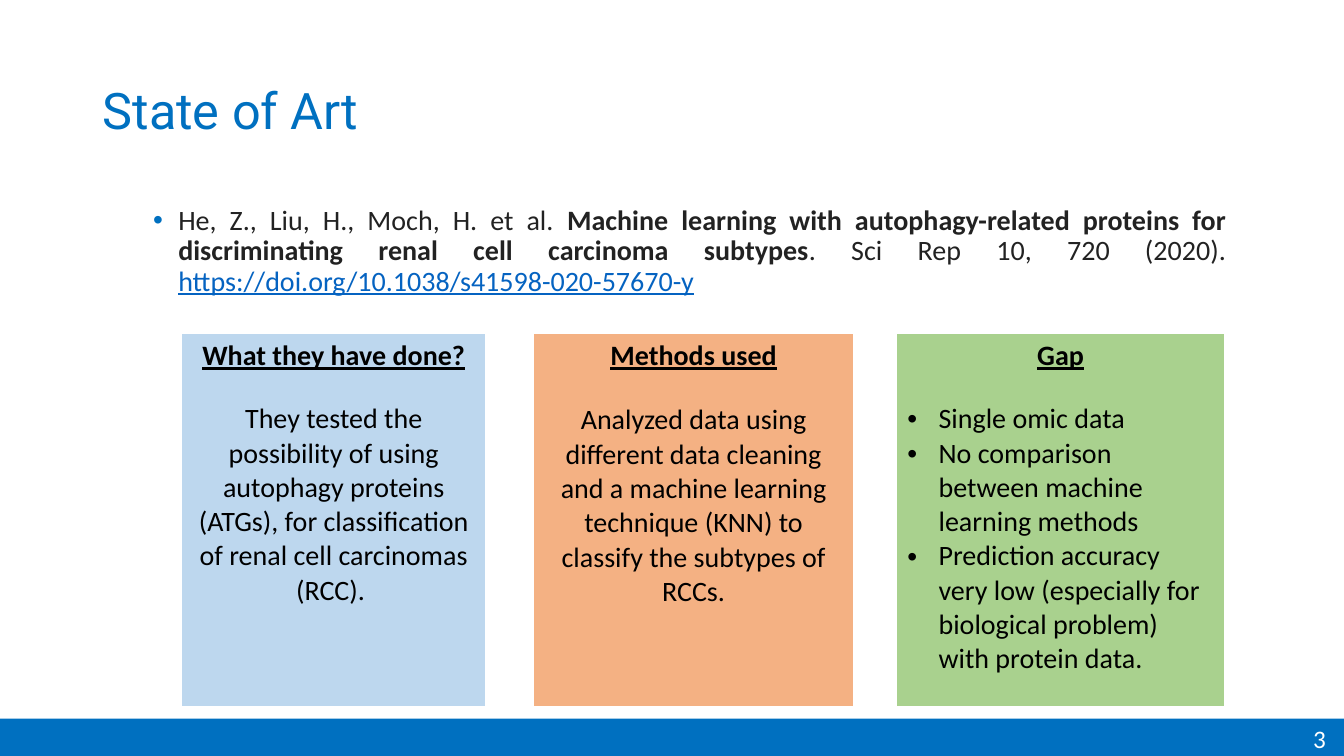
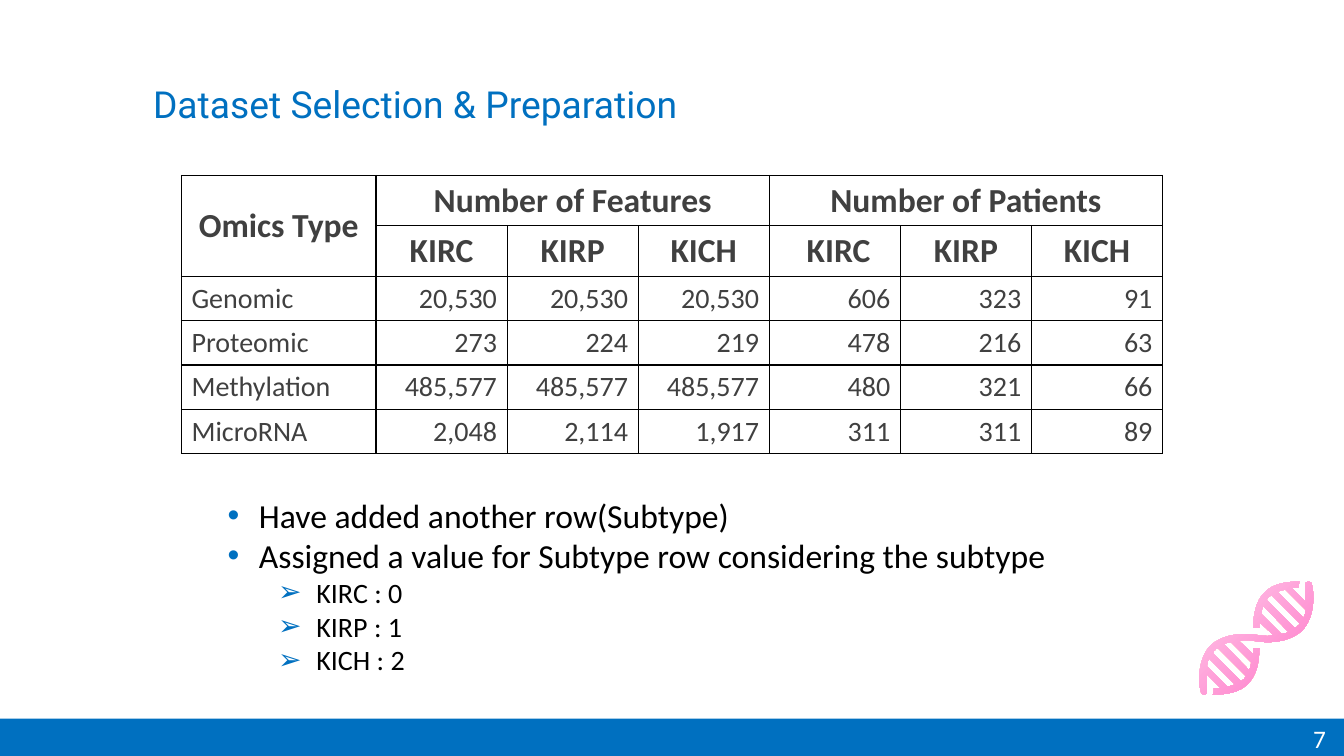
from copy import deepcopy

from lxml.etree import SubElement
from pptx import Presentation
from pptx.dml.color import RGBColor
from pptx.enum.shapes import MSO_SHAPE as Preset
from pptx.enum.text import MSO_ANCHOR as Anchor, PP_ALIGN as Align
from pptx.oxml import parse_xml
from pptx.oxml.ns import nsdecls, qn
from pptx.util import Inches, Pt

BLUE = RGBColor(0x00, 0x70, 0xC0)
LINK = RGBColor(0x05, 0x63, 0xC1)
WHITE = RGBColor(0xFF, 0xFF, 0xFF)
BLACK = RGBColor(0x00, 0x00, 0x00)
INK = RGBColor(0x22, 0x22, 0x22)
GREY = RGBColor(0x40, 0x40, 0x40)
PALE_BLUE = RGBColor(0xBD, 0xD7, 0xEE)
ORANGE = RGBColor(0xF4, 0xB1, 0x83)
GREEN = RGBColor(0xA9, 0xD1, 0x8E)
LIGHT_PINK = RGBColor(0xFF, 0xB9, 0xE3)
PINK = RGBColor(0xFF, 0x73, 0xC6)
NO_STYLE = "{2D5ABB26-0587-4C30-8999-92F81FD0307C}"


def write(paragraph, text, size, color, font="Calibri", bold=False, align=Align.LEFT):
    paragraph.text = text
    paragraph.alignment = align
    paragraph.font.name = font
    paragraph.font.size = Pt(size)
    paragraph.font.bold = bold
    paragraph.font.color.rgb = color


def add_bullet(paragraph, character, margin, hanging, color):
    properties = paragraph._p.get_or_add_pPr()
    properties.set("marL", str(Inches(margin)))
    properties.set("indent", str(-Inches(hanging)))
    bullet_color = SubElement(properties, qn("a:buClr"))
    SubElement(bullet_color, qn("a:srgbClr"), val=str(color))
    SubElement(properties, qn("a:buFont"), typeface="Arial")
    SubElement(properties, qn("a:buChar"), char=character)


presentation = Presentation()
presentation.slide_width = Inches(13.33)
presentation.slide_height = Inches(7.5)

slides = []
for title, size, left, top, height, anchor, number in [
    ("State of Art", 36, 0.92, 0.4, 1.45, Anchor.MIDDLE, "3"),
    ("Dataset Selection & Preparation", 26.6, 1.42, 0.81, 0.6, Anchor.TOP, "7"),
]:
    slide = presentation.slides.add_slide(presentation.slide_layouts[6])
    slides.append(slide)
    band = slide.shapes.add_shape(
        Preset.RECTANGLE, 0, Inches(7.13), presentation.slide_width, Inches(0.37))
    band.shadow.inherit = False
    band.fill.solid()
    band.fill.fore_color.rgb = BLUE
    band.line.fill.background()

    title_frame = slide.shapes.add_textbox(
        Inches(left), Inches(top), Inches(11), Inches(height)).text_frame
    title_frame.word_wrap = True
    title_frame.vertical_anchor = anchor
    write(title_frame.paragraphs[0], title, size, BLUE, font="Roboto")
    title_frame.paragraphs[0].line_spacing = 0.9

    number_frame = slide.shapes.add_textbox(
        Inches(12.75), Inches(7.13), Inches(0.5), Inches(0.4)).text_frame
    number_frame.word_wrap = True
    write(number_frame.paragraphs[0], number, 18, WHITE, align=Align.RIGHT)

art_slide, dataset_slide = slides

citation_frame = art_slide.shapes.add_textbox(
    Inches(0.92), Inches(2), Inches(11.34), Inches(1.1)).text_frame
citation_frame.word_wrap = True
citation = citation_frame.paragraphs[0]
write(citation, "", 20, INK, align=Align.JUSTIFY)
citation.line_spacing = 0.9
add_bullet(citation, "•", 0.75, 0.25, BLUE)
for text, bold, color, underline in [
    ("He, Z., Liu, H., Moch, H. et al. ", False, INK, False),
    ("Machine learning with autophagy-related proteins for discriminating "
     "renal cell carcinoma subtypes", True, INK, False),
    (". Sci Rep 10, 720 (2020). ", False, INK, False),
    ("https://doi.org/10.1038/s41598-020-57670-y", False, LINK, True),
]:
    run = citation.add_run()
    run.text = text
    run.font.name = "Calibri"
    run.font.size = Pt(20)
    run.font.bold = bold
    run.font.underline = underline
    run.font.color.rgb = color

review_table = art_slide.shapes.add_table(
    2, 5, Inches(1.81), Inches(3.31), Inches(10.33), Inches(3.69)).table
for column, width in zip(review_table.columns, [3, 0.49, 3.16, 0.44, 3.24]):
    column.width = Inches(width)
for row, height in zip(review_table.rows, [0.44, 3.25]):
    row.height = Inches(height)
    for cell in row.cells:
        cell.fill.background()

for column, color, margin_top, heading, lines in [
    (0, PALE_BLUE, 0.24, "What they have done?",
     ["They tested the possibility of using autophagy proteins (ATGs), "
      "for classification of renal cell carcinomas (RCC). "]),
    (2, ORANGE, 0.25, "Methods used",
     ["Analyzed data using different data cleaning and a machine learning "
      "technique (KNN) to classify the subtypes of RCCs."]),
    (4, GREEN, 0.24, "Gap",
     ["Single omic data",
      "No comparison between machine learning methods",
      "Prediction accuracy very low (especially for biological problem) "
      "with protein data. "]),
]:
    heading_cell = review_table.cell(0, column)
    body_cell = review_table.cell(1, column)
    for cell in (heading_cell, body_cell):
        cell.fill.solid()
        cell.fill.fore_color.rgb = color
    heading_paragraph = heading_cell.text_frame.paragraphs[0]
    write(heading_paragraph, heading, 20, BLACK, bold=True, align=Align.CENTER)
    heading_paragraph.font.underline = True
    body_cell.margin_top = Inches(margin_top)
    body_frame = body_cell.text_frame
    for index, line in enumerate(lines):
        paragraph = body_frame.add_paragraph() if index else body_frame.paragraphs[0]
        if len(lines) > 1:
            write(paragraph, line, 20, BLACK)
            add_bullet(paragraph, "•", 0.31, 0.31, BLACK)
        else:
            write(paragraph, line, 20, BLACK, align=Align.CENTER)

omics_rows = [
    ["Omics Type", "Number of Features", "", "", "Number of Patients", "", ""],
    ["", "KIRC", "KIRP", "KICH", " KIRC", "KIRP", "KICH"],
    ["Genomic", "20,530", "20,530", "20,530", "606", "323", "91"],
    ["Proteomic", "273", "224", "219", "478", "216", "63"],
    ["Methylation", "485,577", "485,577", "485,577", "480", "321", "66"],
    ["MicroRNA", "2,048", "2,114", "1,917", "311", "311", "89"],
]
omics_table = dataset_slide.shapes.add_table(
    6, 7, Inches(1.8), Inches(1.74), Inches(9.73), Inches(2.76)).table
for index, column in enumerate(omics_table.columns):
    column.width = Inches(1.3 if index else 1.93)
for row_index, values in enumerate(omics_rows):
    is_header = row_index < 2
    omics_table.rows[row_index].height = Inches(0.5 if is_header else 0.44)
    for column_index, value in enumerate(values):
        cell = omics_table.cell(row_index, column_index)
        cell.fill.background()
        cell.vertical_anchor = Anchor.MIDDLE if is_header else Anchor.TOP
        if is_header:
            align = Align.CENTER
        else:
            align = Align.RIGHT if column_index else Align.LEFT
        write(cell.text_frame.paragraphs[0], value, 24 if is_header else 20, GREY,
              bold=is_header, align=align)
        cell_properties = cell._tc.get_or_add_tcPr()
        for position, side in enumerate(["lnL", "lnR", "lnT", "lnB"]):
            cell_properties.insert(position, parse_xml(
                f'<a:{side} {nsdecls("a")} w="{Pt(1)}"><a:solidFill>'
                f'<a:srgbClr val="{BLACK}"/></a:solidFill></a:{side}>'))
for first, last in [((0, 0), (1, 0)), ((0, 1), (0, 3)), ((0, 4), (0, 6))]:
    omics_table.cell(*first).merge(omics_table.cell(*last))

for table in (review_table, omics_table):
    table.first_row = False
    table.horz_banding = False
    table._tbl.tblPr.find(qn("a:tableStyleId")).text = NO_STYLE

subtype_frame = dataset_slide.shapes.add_textbox(
    Inches(2.16), Inches(4.86), Inches(8.51), Inches(1.92)).text_frame
subtype_frame.word_wrap = True
for index, (text, level) in enumerate([
    ("Have added another row(Subtype)", 0),
    ("Assigned a value for Subtype row considering the subtype", 0),
    ("KIRC : 0", 1),
    ("KIRP : 1", 1),
    ("KICH : 2", 1),
]):
    paragraph = subtype_frame.add_paragraph() if index else subtype_frame.paragraphs[0]
    paragraph.level = level
    write(paragraph, text, 20 if level else 24, BLACK)
    if level:
        add_bullet(paragraph, "➢", 0.88, 0.38, BLUE)
    else:
        add_bullet(paragraph, "•", 0.31, 0.31, BLUE)

helix_left, helix_top, helix_width, helix_height = 1185, 577, 122, 112
helix_half = [
    (1288, 577), (1276, 577, 1262, 579, 1254, 588),
    (1245, 597, 1243, 611, 1243, 623), (1246, 623, 1248, 623, 1249, 623),
    (1249, 617), (1263, 630),
    (1260, 631, 1258, 631, 1257, 631), (1251, 631, 1247, 630, 1247, 630),
    (1247, 630, 1242, 629, 1235, 629), (1225, 629, 1211, 631, 1201, 640),
    (1185, 656, 1190, 685, 1191, 686), (1191, 688, 1192, 689, 1194, 689),
    (1195, 689), (1197, 689, 1198, 687, 1197, 685),
    (1197, 685, 1197, 678, 1197, 669), (1211, 683),
    (1209, 683, 1207, 683, 1206, 683), (1204, 683),
    (1204, 685, 1204, 688, 1203, 689),
]
helix_gaps = [
    [(1275, 585), (1295, 605), (1295, 608, 1294, 610, 1293, 613), (1267, 587),
     (1269, 586, 1272, 585, 1275, 585)],
    [(1261, 590), (1289, 618), (1289, 620, 1288, 620, 1287, 621),
     (1286, 622, 1286, 623, 1284, 623), (1256, 595),
     (1257, 594, 1258, 593, 1258, 592), (1259, 592, 1260, 591, 1261, 590)],
    [(1253, 601), (1278, 627), (1276, 628, 1274, 629, 1271, 629), (1251, 609),
     (1251, 606, 1252, 603, 1253, 601)],
]
contours = []
for pieces in helix_gaps + [helix_half]:
    local = [[value - (helix_top if index % 2 else helix_left)
              for index, value in enumerate(piece)] for piece in pieces]
    turned = [[(helix_height if index % 2 else helix_width) - value
               for index, value in enumerate(piece)] for piece in local]
    contours += [local + turned] if pieces is helix_half else [local, turned]

builder = dataset_slide.shapes.build_freeform(
    helix_left, helix_top, scale=Inches(0.01))
builder.add_line_segments([
    (helix_left + helix_width, helix_top),
    (helix_left + helix_width, helix_top + helix_height),
    (helix_left, helix_top + helix_height),
])
helix = builder.convert_to_shape()
outline = next(helix._element.iter(qn("a:path")))
for child in list(outline):
    outline.remove(child)
outline.set("w", str(helix_width))
outline.set("h", str(helix_height))
for contour in contours:
    for index, piece in enumerate(contour):
        kind = "cubicBezTo" if len(piece) == 6 else "lnTo" if index else "moveTo"
        segment = SubElement(outline, qn(f"a:{kind}"))
        for x, y in zip(piece[::2], piece[1::2]):
            SubElement(segment, qn("a:pt"), x=str(x), y=str(y))
    SubElement(outline, qn("a:close"))
helix.shadow.inherit = False
helix.line.fill.background()
helix.fill.gradient()
helix.fill.gradient_angle = 315
stop_list = helix._element.spPr.find(qn("a:gradFill")).find(qn("a:gsLst"))
stop_list.append(deepcopy(stop_list[-1]))
for stop, position, color in zip(
        helix.fill.gradient_stops, [0, 0.22, 1], [WHITE, LIGHT_PINK, PINK]):
    stop.position = position
    stop.color.rgb = color

presentation.save("out.pptx")
